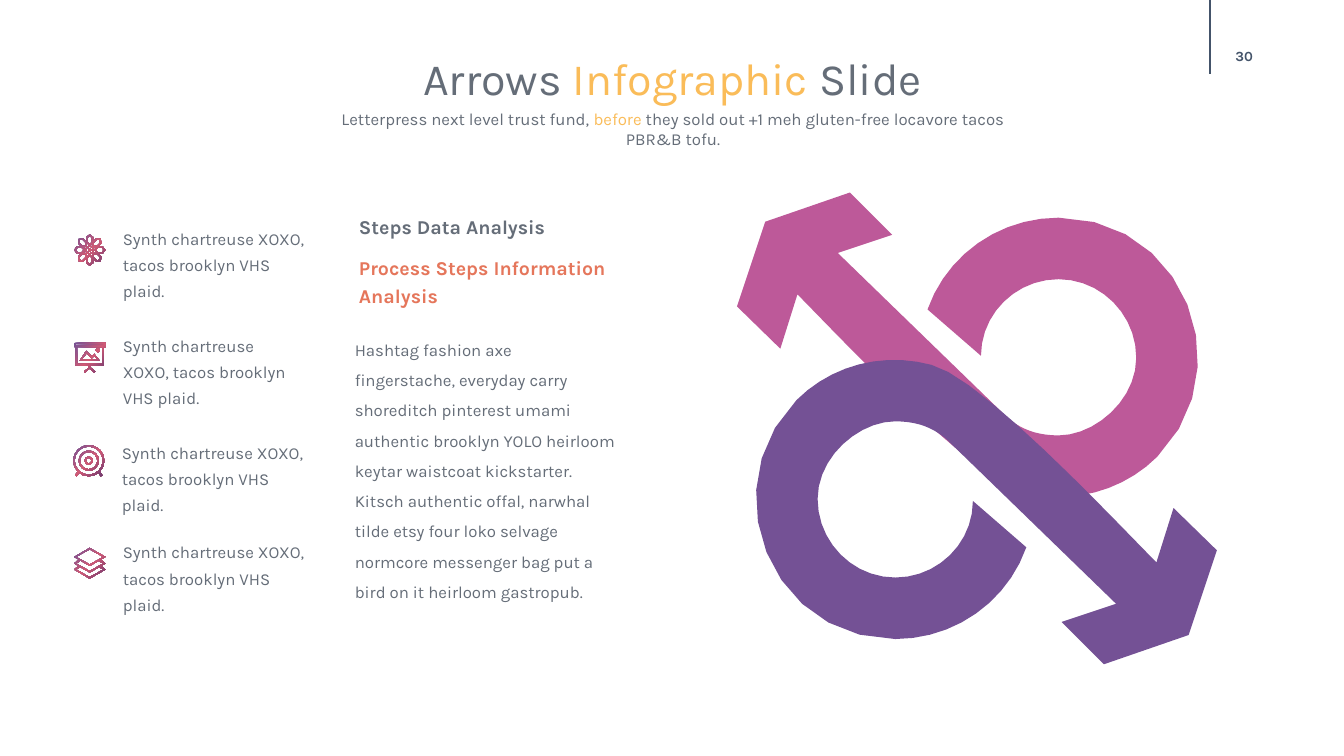
import math

import lxml.etree
import pptx
import pptx.dml.color
import pptx.enum.shapes
import pptx.enum.text
import pptx.oxml
import pptx.oxml.ns
import pptx.util
from pptx.util import Inches

GREY = pptx.dml.color.RGBColor(0x65, 0x6D, 0x78)
YELLOW = pptx.dml.color.RGBColor(0xFA, 0xBC, 0x59)
ORANGE = pptx.dml.color.RGBColor(0xE5, 0x76, 0x5B)
NAVY = pptx.dml.color.RGBColor(0x44, 0x54, 0x6A)
PINK = pptx.dml.color.RGBColor(0xBD, 0x59, 0x99)
PURPLE = pptx.dml.color.RGBColor(0x74, 0x51, 0x95)
PLUM = pptx.dml.color.RGBColor(0x6C, 0x3A, 0x71)
ROSE = pptx.dml.color.RGBColor(0xD1, 0x5B, 0x75)
FONT = "Karla"
CENTER = pptx.enum.text.PP_ALIGN.CENTER

ARROW_START = (11.48, 4.53)
# Two numbers are a straight line, six are a Bezier curve.
ARROW_SEGMENTS = [
    (11.13, 4.88, 10.62, 5.01, 10.14, 4.88),
    (9.66, 4.76, 8.39, 3.41, 7.91, 2.92),
    (7.74, 3.46), (7.31, 3.04), (7.59, 2.2), (8.43, 1.91),
    (8.85, 2.33), (8.31, 2.51), (10, 4.15),
    (10.12, 4.25, 10.27, 4.32, 10.5, 4.32),
    (10.86, 4.32, 11.27, 3.97, 11.27, 3.55),
    (11.27, 3.12, 10.92, 2.77, 10.5, 2.77),
    (10.08, 2.77, 9.73, 3.11, 9.73, 3.53),
    (9.2, 3.07),
    (9.39, 2.53, 9.91, 2.16, 10.5, 2.16),
    (11.75, 2.16, 12.33, 3.67, 11.48, 4.53),
]
ARROWS_CENTER = (9.69, 4.25)


def fill_text(shape, runs, size, bold=False, align=None, line_spacing=None,
              margin=None):
    """Write one paragraph of (text, colour) runs into the shape."""
    frame = shape.text_frame
    frame.word_wrap = True
    frame.vertical_anchor = pptx.enum.text.MSO_ANCHOR.TOP
    if margin is not None:
        frame.margin_left = frame.margin_right = margin
        frame.margin_top = frame.margin_bottom = margin
    paragraph = frame.paragraphs[0]
    paragraph.alignment = align
    paragraph.line_spacing = line_spacing
    for text, color in runs:
        run = paragraph.add_run()
        run.text = text
        run.font.name = FONT
        run.font.size = pptx.util.Pt(size)
        run.font.bold = bold
        run.font.color.rgb = color
    return frame


def add_text(slide, box, runs, size, **options):
    shape = slide.shapes.add_textbox(*map(Inches, box))
    return fill_text(shape, runs, size, **options)


def add_title(slide):
    title = slide.shapes.title
    title.left, title.top, title.width, title.height = map(
        Inches, (2.54, 0.45, 8.26, 0.64))
    runs = [("Arrows ", GREY), ("Infographic ", YELLOW), ("Slide", GREY)]
    frame = fill_text(title, runs, 32, align=CENTER)
    frame.auto_size = pptx.enum.text.MSO_AUTO_SIZE.NONE


def add_page_mark(slide):
    line = slide.shapes.add_connector(
        pptx.enum.shapes.MSO_CONNECTOR.STRAIGHT,
        Inches(12), Inches(0), Inches(12), Inches(0.73))
    line.line.color.rgb = NAVY
    line.line.width = pptx.util.Pt(1)
    lxml.etree.SubElement(line._element.spPr,
                          pptx.oxml.ns.qn("a:effectLst"))
    frame = add_text(slide, (11.94, 0.36, 0.8, 0.4), [("30", NAVY)], 10,
                     bold=True, align=CENTER, margin=0)
    frame.vertical_anchor = pptx.enum.text.MSO_ANCHOR.MIDDLE


def add_outline(slide, contours):
    """Draw closed contours as one shape; inner contours become holes."""
    contours = [[(Inches(x), Inches(y)) for x, y in contour]
                for contour in contours]
    builder = slide.shapes.build_freeform(*contours[0][0], scale=1.0)
    for index, contour in enumerate(contours):
        if index:
            builder.move_to(*contour[0])
        builder.add_line_segments(contour[1:], close=True)
    shape = builder.convert_to_shape()
    shape.shadow.inherit = False
    shape.line.fill.background()
    return shape


def arrow_points(steps=10):
    points = [ARROW_START]
    for segment in ARROW_SEGMENTS:
        if len(segment) == 2:
            points.append(segment)
            continue
        controls = points[-1] + segment
        for step in range(1, steps + 1):
            t = step / steps
            weights = ((1 - t) ** 3, 3 * t * (1 - t) ** 2,
                       3 * t ** 2 * (1 - t), t ** 3)
            points.append(tuple(
                sum(w * c for w, c in zip(weights, controls[axis::2]))
                for axis in (0, 1)))
    return points


def add_arrows(slide):
    """The second arrow is the first one turned by half a circle."""
    points = arrow_points()
    center_x, center_y = ARROWS_CENTER
    turned = [(2 * center_x - x, 2 * center_y - y) for x, y in points]
    for outline, color in ((points, PINK), (turned, PURPLE)):
        shape = add_outline(slide, [outline])
        shape.fill.solid()
        shape.fill.fore_color.rgb = color


def ellipse(x, y, radius_x, radius_y, corners, turn=0.0):
    angles = [math.tau * step / corners for step in range(corners)]
    return [(x + radius_x * math.cos(a) * math.cos(turn)
             - radius_y * math.sin(a) * math.sin(turn),
             y + radius_x * math.cos(a) * math.sin(turn)
             + radius_y * math.sin(a) * math.cos(turn)) for a in angles]


def circles(x, y, radii):
    return [ellipse(x, y, radius, radius, 8 if radius < 0.05 else 16)
            for radius in radii]


def rectangle(left, top, right, bottom):
    return [(left, top), (right, top), (right, bottom), (left, bottom)]


def mirrored(points):
    """Complete a left half with its reflection."""
    return points + [(-x, y) for x, y in reversed(points) if x]


def flower_icon():
    contours = circles(0, 0, (0.045, 0.034, 0.016))
    for step in range(8):
        turn = math.tau * step / 8
        x, y = 0.1 * math.cos(turn), 0.1 * math.sin(turn)
        contours += [ellipse(x, y, 0.055, 0.042, 6, turn),
                     ellipse(x, y, 0.04, 0.026, 6, turn)]
    return contours


def screen_icon():
    mountain = [(-0.1, 0.04), (-0.035, -0.06), (0.02, -0.005),
                (0.045, -0.03), (0.1, 0.04)]
    mountain_hole = [(-0.08, 0.025), (-0.03, -0.035), (0.02, 0.015),
                     (0.045, -0.01), (0.08, 0.025)]
    stand = mirrored([(-0.007, 0.085), (-0.007, 0.105), (-0.055, 0.145),
                      (-0.045, 0.155), (0, 0.115)])
    return [rectangle(-0.155, -0.14, 0.155, -0.095),
            rectangle(-0.14, -0.125, 0.14, -0.11),
            rectangle(-0.14, -0.095, 0.14, 0.085),
            rectangle(-0.125, -0.095, 0.125, 0.07),
            mountain, mountain_hole, stand,
            *circles(0.08, -0.065, (0.02, 0.008))]


def target_icon():
    foot = [(-0.11, 0.11), (-0.135, 0.145), (-0.12, 0.155), (-0.095, 0.12)]
    return (circles(0, 0, (0.155, 0.14, 0.1, 0.085, 0.042, 0.028))
            + [foot, [(-x, y) for x, y in foot]])


def layers_icon():
    diamonds = [[(0, -0.065 - high), (-wide, -0.065),
                 (0, -0.065 + high), (wide, -0.065)]
                for wide, high in ((0.155, 0.09), (0.135, 0.075))]
    left_edge = [(0, 0.075), (-0.135, 0), (-0.1, -0.02),
                 (-0.12, -0.03), (-0.155, 0), (0, 0.09)]
    right_edge = [(-x, y) for x, y in left_edge[-2:0:-1]]
    chevrons = [[(x, y + drop) for x, y in left_edge + right_edge]
                for drop in (0, 0.06)]
    return diamonds + chevrons


def add_icon(slide, x, y, contours):
    shape = add_outline(slide, [[(x + px, y + py) for px, py in contour]
                                for contour in contours])
    shape.fill.gradient()
    gradient = shape._element.spPr.find(pptx.oxml.ns.qn("a:gradFill"))
    stops = "".join(
        f'<a:gs pos="{position}"><a:srgbClr val="{color}"/></a:gs>'
        for position, color in ((0, PLUM), (48000, ROSE), (100000, PURPLE)))
    gradient.getparent().replace(gradient, pptx.oxml.parse_xml(
        f'<a:gradFill {pptx.oxml.ns.nsdecls("a")}><a:gsLst>{stops}</a:gsLst>'
        '<a:path path="circle"><a:fillToRect l="100000" t="100000"/>'
        '</a:path></a:gradFill>'))


def main():
    presentation = pptx.Presentation()
    presentation.slide_width = Inches(13.33)
    presentation.slide_height = Inches(7.5)
    slide = presentation.slides.add_slide(presentation.slide_layouts[5])

    add_page_mark(slide)
    add_title(slide)
    add_text(slide, (3.2, 1.03, 6.95, 0.5), [
        ("Letterpress next level trust fund, ", GREY), ("before", YELLOW),
        (" they sold out +1 meh gluten-free locavore tacos PBR&B tofu.", GREY),
    ], 12, align=CENTER)
    add_arrows(slide)

    items = [(1.12, 2.16, 2.03, 2.48, flower_icon),
             (1.12, 3.22, 1.94, 3.54, screen_icon),
             (1.11, 4.28, 2.03, 4.57, target_icon),
             (1.12, 5.27, 2.03, 5.59, layers_icon)]
    for left, top, width, icon_y, icon in items:
        add_text(slide, (left, top, width, 0.63),
                 [("Synth chartreuse XOXO, tacos brooklyn VHS plaid.", GREY)],
                 12, line_spacing=1.3)
        add_icon(slide, left - 0.23, icon_y, icon())

    add_text(slide, (3.42, 3.22, 2.78, 2.52), [(
        "Hashtag fashion axe fingerstache, everyday carry shoreditch pinterest "
        "umami authentic brooklyn YOLO heirloom keytar waistcoat kickstarter. "
        "Kitsch authentic offal, narwhal tilde etsy four loko selvage normcore "
        "messenger bag put a bird on it heirloom gastropub.", GREY)],
        12, line_spacing=1.5)
    add_text(slide, (3.56, 2.16, 2.88, 0.33), [("Steps Data Analysis", GREY)],
             14, bold=True, line_spacing=0.9, margin=0)
    add_text(slide, (3.56, 2.49, 2.69, 0.56),
             [("Process Steps Information Analysis", ORANGE)],
             14, bold=True, line_spacing=1.2, margin=0)
    presentation.save("out.pptx")


if __name__ == "__main__":
    main()
